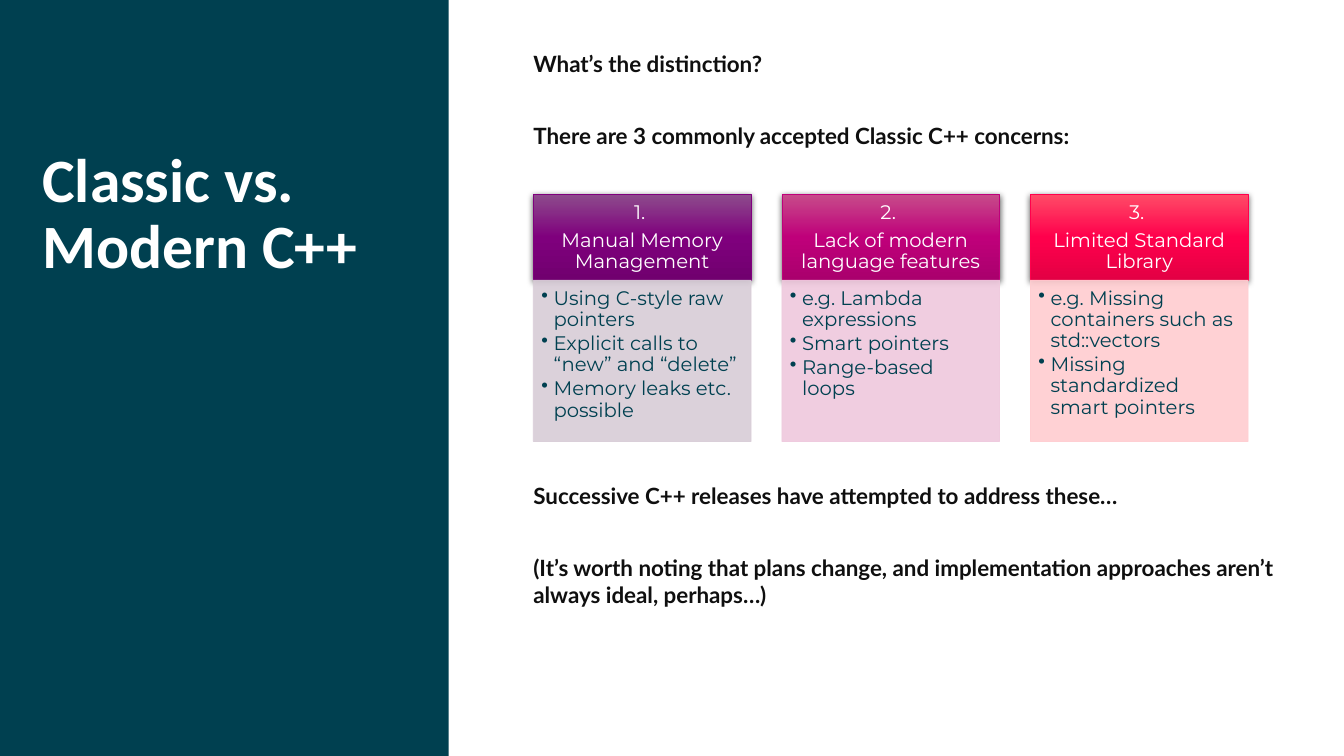
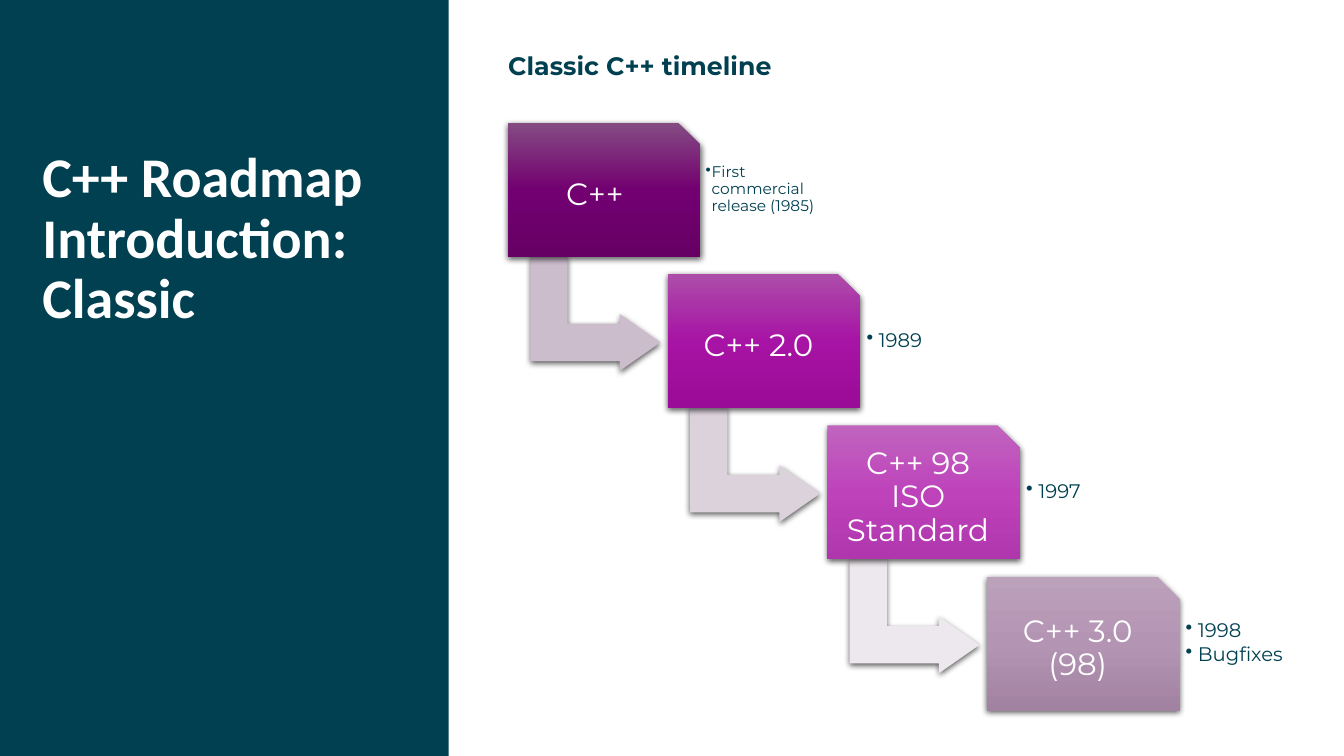
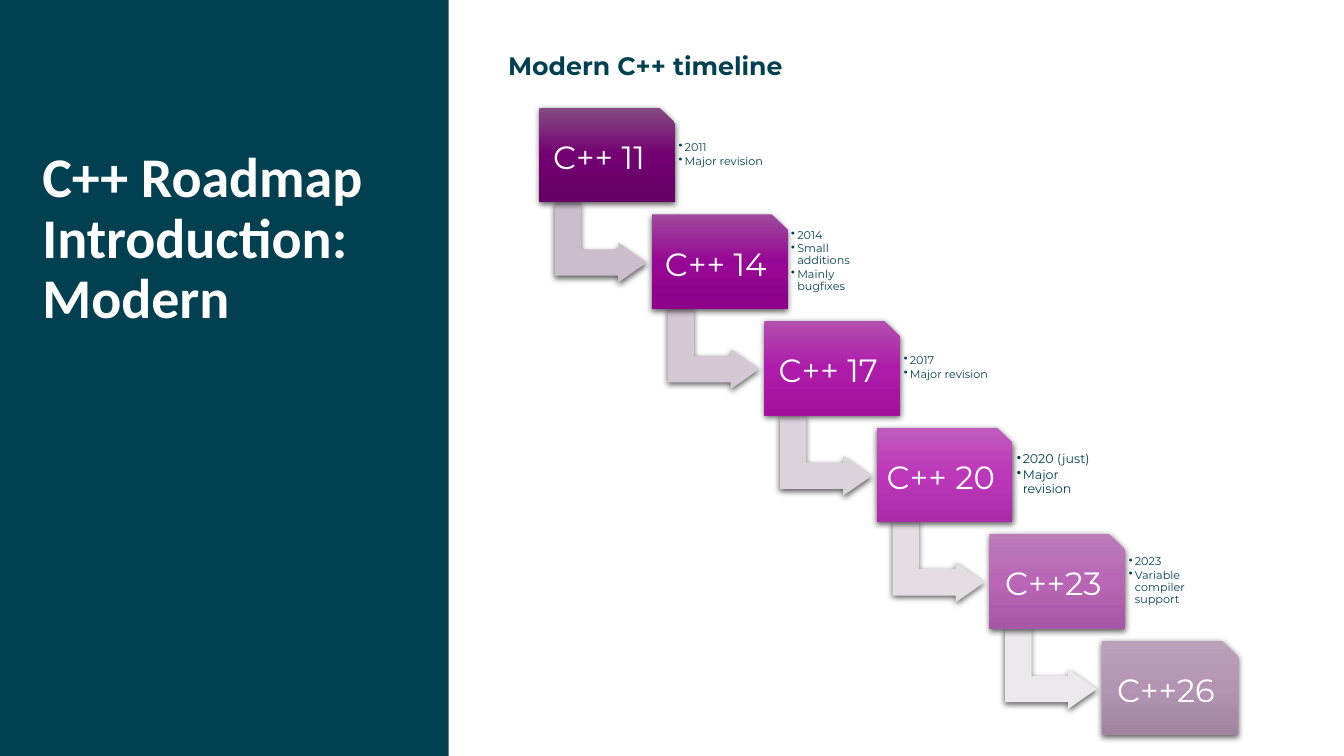
from copy import deepcopy

from lxml.etree import SubElement
from pptx import Presentation
from pptx.dml.color import RGBColor
from pptx.enum.shapes import MSO_SHAPE
from pptx.enum.text import MSO_ANCHOR, MSO_AUTO_SIZE, PP_ALIGN
from pptx.oxml.ns import qn
from pptx.util import Inches, Pt

# Colours; ramps run from top to bottom of a gradient
COLORS = {"teal": "004050", "white": "FFFFFF", "ink": "0F0F0F", "black": "000000"}
RAMPS = {
    "purple": ("8D4B8C", "7F007D", "71006F"),
    "magenta": ("C74B8A", "BF007A", "AA006D"),
    "red": ("FF4B67", "FF004C", "E30044"),
    "plum": ("844B82", "730071", "660065"),
    "grape": ("9F4B9C", "970795", "8C008A"),
    "violet": ("AD4DAA", "A713A4", "9A0B97"),
    "orchid": ("B34FB0", "AE1BAA", "A0129D"),
    "pink": ("C064BE", "BE43BB", "AF36AC"),
    "fuchsia": ("C05BBE", "BC37B9", "AC2BA9"),
    "lilac": ("BC7CBA", "B866B5", "A757A5"),
    "mauve": ("BCA1BB", "B494B3", "A282A1"),
}
TINTS = {"purple": "D8CCD7", "magenta": "EFC8DD", "red": "FFCCD0"}
ARROW_TINTS = ("CCBDCC", "D4C8D4", "DCD2DC", "E5DDE4", "EDE8ED")

# Content
CONCERNS_TITLE = "Classic vs. Modern C++"
STATEMENTS = [  # text, empty lines left above
    ("What’s the distinction?", 0),
    ("There are 3 commonly accepted Classic C++ concerns:", 1),
    ("Successive C++ releases have attempted to address these…", 9),
    ("(It’s worth noting that plans change, and implementation approaches "
     "aren’t always ideal, perhaps…)", 1),
]
CONCERNS = [
    ("purple", ["1. ", "Manual Memory Management"],
     ["Using C-style raw pointers", "Explicit calls to “new” and “delete”",
      "Memory leaks etc. possible"]),
    ("magenta", ["2. ", "Lack of modern language features"],
     ["e.g. Lambda expressions", "Smart pointers", "Range-based loops"]),
    ("red", ["3. ", "Limited Standard Library"],
     ["e.g. Missing containers such as std::vectors",
      "Missing standardized smart pointers"]),
]
TIMELINES = [
    {"title": "C++ Roadmap Introduction: Classic", "heading": "Classic C++ timeline",
     "origin": (5.04, 1.22), "scale": 1, "size": 22, "arrows": ARROW_TINTS[::2],
     "releases": [  # ramp, release, note size, notes
         ("plum", "C++ ", 11, ["First commercial release (1985)"]),
         ("violet", "C++ 2.0", 14, ["1989"]),
         ("pink", "C++ 98 ISO Standard", 14, ["1997"]),
         ("mauve", "C++ 3.0 (98)", 14, ["1998", "Bugfixes"])]},
    {"title": "C++ Roadmap Introduction: Modern", "heading": "Modern C++ timeline",
     "origin": (5.35, 1.07), "scale": 0.705, "size": 23, "arrows": ARROW_TINTS,
     "releases": [
         ("plum", "C++ 11 ", 8, ["2011", "Major revision"]),
         ("grape", "C++ 14", 8, ["2014", "Small additions", "Mainly bugfixes"]),
         ("orchid", "C++ 17", 8, ["2017", "Major revision"]),
         ("fuchsia", "C++ 20", 9, ["2020 (just)", "Major revision"]),
         ("lilac", "C++23", 8, ["2023", "Variable compiler support"]),
         ("mauve", "C++26", 8, [])]},
]

# Geometry in inches: left, top, width, height
WIDTH, HEIGHT = 13.33, 7.5
BAND_WIDTH = 4.45
TITLE_AREA = (0.42, 1.48, 3.77, 3.01)
STATEMENT_AREA = (5.29, 0.5, 7.73, 6.62)
HEADING_AREA = (5.04, 0.5, 7.87, 0.42)
CARD_LEFT, CARD_TOP, CARD_WIDTH, CARD_PITCH = 5.29, 1.93, 2.16, 2.465
HEAD_HEIGHT, LIST_HEIGHT = 0.85, 1.6
# One timeline step at full scale, measured from its box
STEP = (1.583, 1.5)
BOX, ARROW, NOTE = (0, 0, 1.91, 1.33), (0.3, 1.25, 1.13, 1.29), (1.91, 0.12, 1.39, 1.08)
STATEMENT_LINE = 25.7  # points: a 16 pt line and the space after it


def inches(area):
    return [Inches(length) for length in area]


def write(frame, lines, size, color, font="Montserrat", bold=False, align=PP_ALIGN.LEFT,
          anchor=MSO_ANCHOR.TOP, insets=(0, 0, 0, 0), spacing=0.9, after=0, gaps=(),
          bullet_indent=0):
    """Fill a text frame, one paragraph a line; gaps are points above each line."""
    frame.word_wrap = True
    frame.auto_size = MSO_AUTO_SIZE.NONE
    frame.vertical_anchor = anchor
    (frame.margin_left, frame.margin_top,
     frame.margin_right, frame.margin_bottom) = inches(insets)
    for index, line in enumerate(lines):
        paragraph = frame.add_paragraph() if index else frame.paragraphs[0]
        props = paragraph._p.get_or_add_pPr()
        props.set("marL", str(Inches(bullet_indent)))
        props.set("indent", str(-Inches(bullet_indent)))
        if bullet_indent:
            SubElement(props, qn("a:buChar")).set("char", "•")
        else:
            SubElement(props, qn("a:buNone"))
        paragraph.alignment = align
        paragraph.line_spacing = spacing
        paragraph.space_before = Pt(gaps[index] if gaps else 0)
        paragraph.space_after = Pt(after)
        run = paragraph.add_run()
        run.text = line
        run.font.name, run.font.size, run.font.bold = font, Pt(size), bold
        run.font.color.rgb = RGBColor.from_string(color)


def add_block(slide, kind, area, fill, line=None, opacity=None, shadow=False):
    """Add a shape; fill is a hex colour or a ramp of three."""
    block = slide.shapes.add_shape(kind, *inches(area))
    props = block.element.spPr
    if isinstance(fill, str):
        block.fill.solid()
        block.fill.fore_color.rgb = RGBColor.from_string(fill)
    else:
        block.fill.gradient()
        block.fill.gradient_angle = 270
        stops = props.find(".//" + qn("a:gsLst"))
        stops.append(deepcopy(stops[-1]))
        for stop, color, position in zip(block.fill.gradient_stops, fill, (0, 0.5, 1)):
            stop.color.rgb = RGBColor.from_string(color)
            stop.position = position
    if line:
        block.line.color.rgb = RGBColor.from_string(line)
        block.line.width = Pt(0.5)
    else:
        block.line.fill.background()
    if opacity:
        for color in props.iter(qn("a:srgbClr")):
            SubElement(color, qn("a:alpha")).set("val", str(opacity * 1000))
    block.shadow.inherit = False
    if shadow:
        outer = SubElement(props.find(qn("a:effectLst")), qn("a:outerShdw"),
                           blurRad=str(Pt(4.5)), dist=str(Pt(1.5)), dir="5400000",
                           algn="ctr", rotWithShape="0")
        tone = SubElement(outer, qn("a:srgbClr"), val=COLORS["black"])
        SubElement(tone, qn("a:alpha"), val="63000")
    return block


def place(shape, area):
    shape.left, shape.top, shape.width, shape.height = inches(area)
    return shape.text_frame


def add_page(deck, layout, title, title_size):
    """Add a slide with its title; return the slide and its body placeholder."""
    slide = deck.slides.add_slide(layout)
    write(place(slide.shapes.title, TITLE_AREA), [title], title_size,
          COLORS["white"], font="Calibri", bold=True)
    return slide, slide.placeholders[1]


def build_concerns(deck, layout):
    slide, body = add_page(deck, layout, CONCERNS_TITLE, 44)
    write(place(body, STATEMENT_AREA), [text for text, _ in STATEMENTS], 16,
          COLORS["ink"], font="Lato", bold=True, spacing=1.0, after=6.5,
          gaps=[blank * STATEMENT_LINE for _, blank in STATEMENTS])
    for column, (hue, heading, points) in enumerate(CONCERNS):
        left = CARD_LEFT + column * CARD_PITCH
        head = add_block(slide, MSO_SHAPE.RECTANGLE,
                         (left, CARD_TOP, CARD_WIDTH, HEAD_HEIGHT),
                         RAMPS[hue], line=RAMPS[hue][1], shadow=True)
        write(head.text_frame, heading, 14, COLORS["white"], align=PP_ALIGN.CENTER,
              anchor=MSO_ANCHOR.MIDDLE, insets=(0.11, 0.06, 0.11, 0.06), after=4.9)
        details = add_block(slide, MSO_SHAPE.RECTANGLE,
                            (left, CARD_TOP + HEAD_HEIGHT, CARD_WIDTH, LIST_HEIGHT),
                            TINTS[hue], line=TINTS[hue], opacity=90)
        write(details.text_frame, points, 14, COLORS["teal"],
              insets=(0.08, 0.08, 0.11, 0.12), after=2.1, bullet_indent=0.12)
    return slide


def build_timeline(deck, layout, timeline):
    slide, body = add_page(deck, layout, timeline["title"], 40)
    write(place(body, HEADING_AREA), [timeline["heading"]], 18, COLORS["teal"],
          bold=True, spacing=1.0)
    scale, size, arrows = timeline["scale"], timeline["size"], timeline["arrows"]
    for index, (hue, release, note_size, notes) in enumerate(timeline["releases"]):
        left, top = (start + index * step * scale
                     for start, step in zip(timeline["origin"], STEP))

        def part(area):
            x, y, width, height = (length * scale for length in area)
            return left + x, top + y, width, height

        # Arrow to the next release
        if index < len(arrows):
            arrow = add_block(slide, MSO_SHAPE.BENT_UP_ARROW, part(ARROW),
                              arrows[index], shadow=True)
            arrow.rotation = 90
            for number, share in enumerate((0.328, 0.25, 0.358)):
                arrow.adjustments[number] = share
        # Release box and its notes
        box = add_block(slide, MSO_SHAPE.SNIP_1_RECTANGLE, part(BOX), RAMPS[hue], shadow=True)
        write(box.text_frame, [release], size, COLORS["white"], align=PP_ALIGN.CENTER,
              anchor=MSO_ANCHOR.MIDDLE, insets=(size * 0.0042,) * 4, after=size * 0.35)
        if notes:
            note = slide.shapes.add_textbox(*inches(part(NOTE)))
            write(note.text_frame, notes, note_size, COLORS["teal"],
                  anchor=MSO_ANCHOR.MIDDLE, insets=(note_size * 0.0044,) * 4,
                  after=note_size * 0.15, bullet_indent=0.12 if note_size > 11 else 0.06)


def main():
    deck = Presentation()
    deck.slide_width, deck.slide_height = Inches(WIDTH), Inches(HEIGHT)
    layout = deck.slide_layouts[1]
    concerns = build_concerns(deck, layout)
    for timeline in TIMELINES:
        build_timeline(deck, layout, timeline)
    # The side band belongs to the layout, behind every slide
    band = add_block(concerns, MSO_SHAPE.RECTANGLE, (0, 0, BAND_WIDTH, HEIGHT), COLORS["teal"])
    layout.shapes.element.insert(2, band.element)
    deck.save("out.pptx")


if __name__ == "__main__":
    main()
